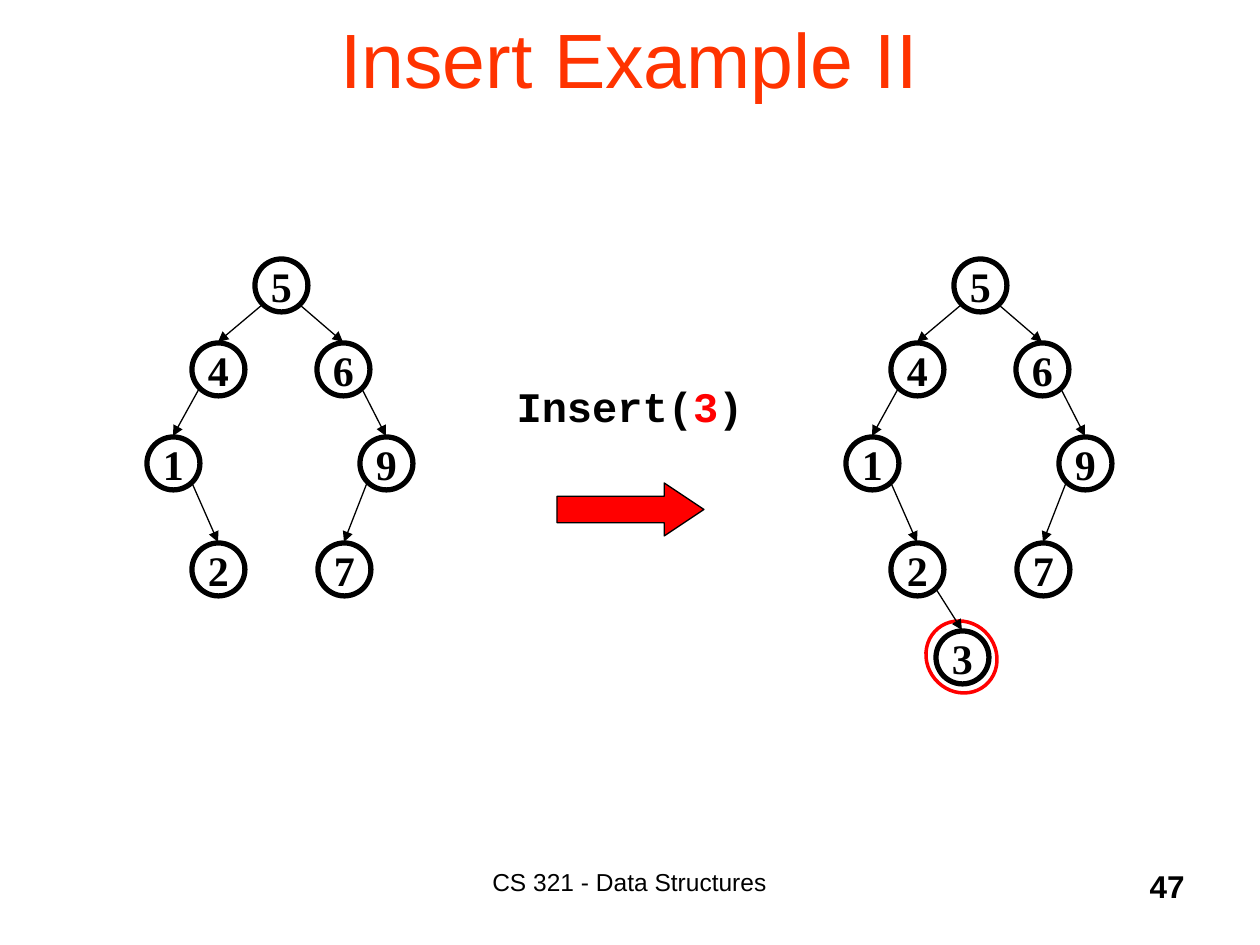
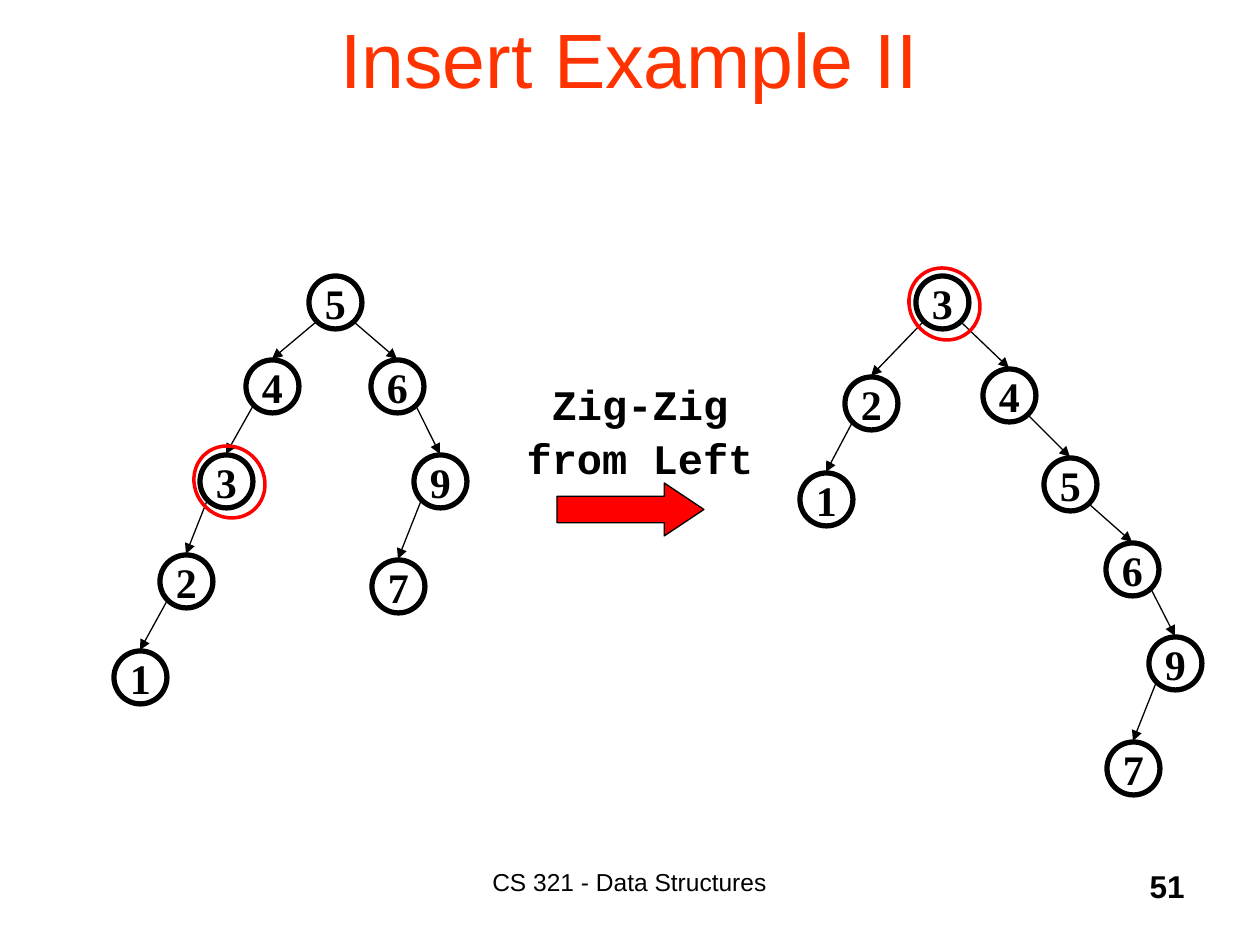
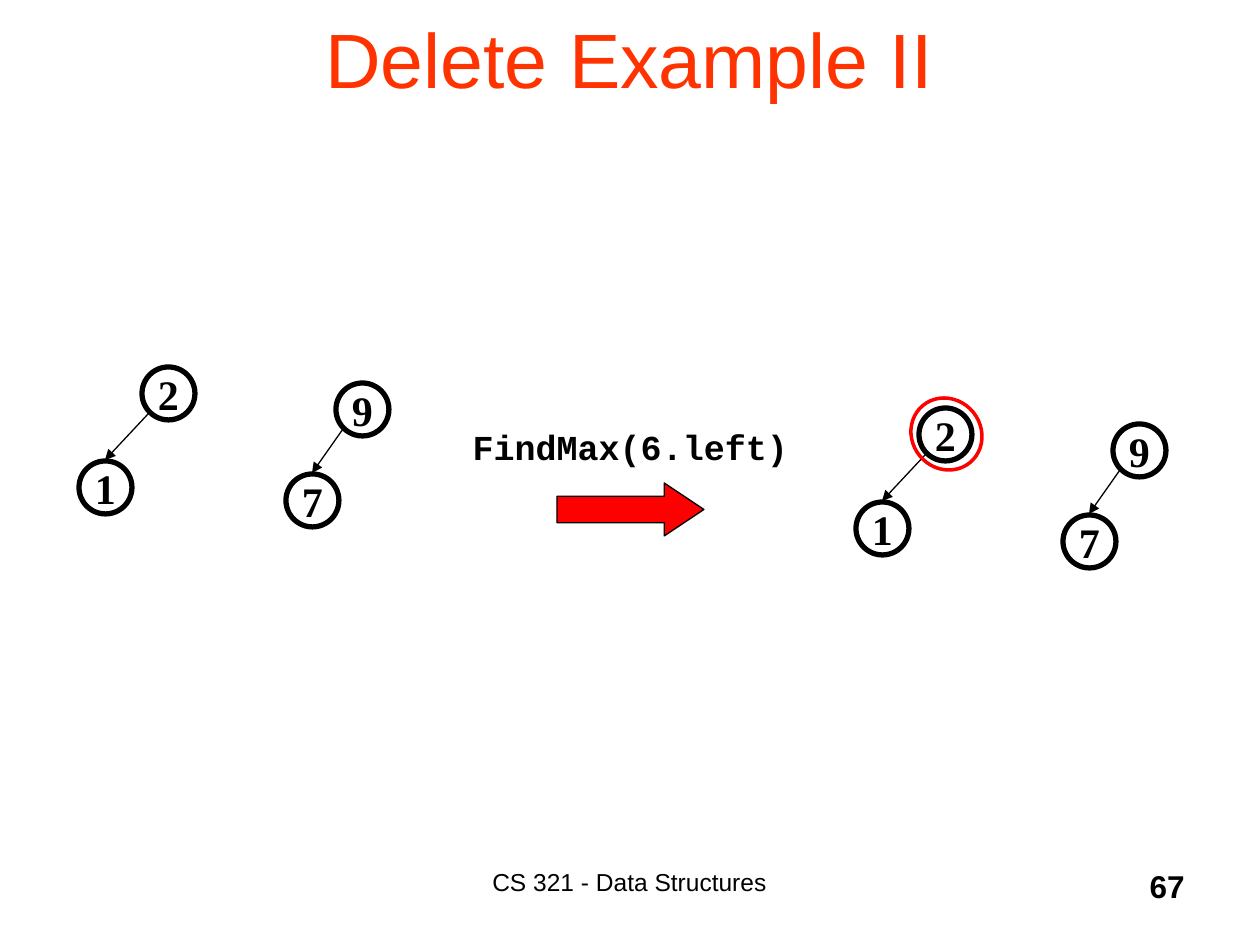
from lxml.etree import SubElement
from pptx import Presentation
from pptx.dml.color import RGBColor
from pptx.enum.shapes import MSO_CONNECTOR, MSO_SHAPE
from pptx.enum.text import MSO_ANCHOR, PP_ALIGN
from pptx.oxml.ns import qn
from pptx.util import Emu, Pt

BLACK, RED, TITLE = "000000", "FF0000", "FF3300"
SANS, MONO, SERIF = "Arial", "Courier New", "Times New Roman"
SIZE = 53
HALF = SIZE // 2


def px(num):
    return Emu(round(num * 914400 / 126))


def hue(code):
    return RGBColor.from_string(code)


def style(run, size, face, code=BLACK, bold=False):
    font = run.font
    font.size, font.name, font.bold = Pt(size), face, bold
    font.color.rgb = hue(code)


def write(frame, text, size, face, code=BLACK, bold=False, align=PP_ALIGN.CENTER):
    frame.text = text
    para = frame.paragraphs[0]
    para.alignment = align
    style(para.runs[0], size, face, code, bold)
    return para


def label(page, box, text, size, face, bold=False, align=PP_ALIGN.CENTER):
    frame = page.shapes.add_textbox(*map(px, box)).text_frame
    frame.word_wrap = True
    return write(frame, text, size, face, BLACK, bold, align)


def code(page, box, text, size=24):
    para = label(page, box, text, size, MONO, True)
    para.line_spacing = 1.08
    para.space_before = Pt(2)
    return para


def shape(shapes, kind, box, edge, width, fill=None):
    item = shapes.add_shape(kind, *map(px, box))
    item.shadow.inherit = False
    if fill:
        item.fill.solid()
        item.fill.fore_color.rgb = hue(fill)
    else:
        item.fill.background()
    item.line.color.rgb = hue(edge)
    item.line.width = Pt(width)
    return item


def node(shapes, key, spot):
    frame = shape(shapes, MSO_SHAPE.OVAL, (*spot, SIZE, SIZE), BLACK, 3).text_frame
    frame.word_wrap = False
    frame.vertical_anchor = MSO_ANCHOR.MIDDLE
    write(frame, key, 24, SERIF, bold=True)


def link(shapes, top, low):
    side = 19 if low[0] > top[0] else -19
    ends = (top[0] + HALF + side, top[1] + HALF + 20, low[0] + HALF, low[1] - 1)
    line = shapes.add_connector(MSO_CONNECTOR.STRAIGHT, *map(px, ends))
    line.line.color.rgb = hue(BLACK)
    line.line.width = Pt(0.75)
    props = line.element.spPr
    SubElement(props.find(qn("a:ln")), qn("a:tailEnd"), type="triangle")
    SubElement(props, qn("a:effectLst"))


def tree(page, nodes, links, shift=(0, 0)):
    shapes = page.shapes.add_group_shape().shapes
    spots = {key: (x + shift[0], y + shift[1]) for key, (x, y) in nodes.items()}
    for top, low in links.split():
        link(shapes, spots[top], spots[low])
    for key, spot in spots.items():
        node(shapes, key, spot)
    return spots


def ring(page, left, top):
    oval = shape(page.shapes, MSO_SHAPE.OVAL, (left, top, 69, 74), RED, 2)
    oval.rotation = 320.5


def start(deck, title, num):
    page = deck.slides.add_slide(deck.slide_layouts[5])
    head = page.shapes.title
    head.left, head.top, head.width, head.height = map(px, (94, -21, 1071, 157))
    head.text_frame.vertical_anchor = MSO_ANCHOR.MIDDLE
    write(head.text_frame, title, 44, SANS, TITLE)
    label(page, (388, 861, 483, 63), "CS 321 - Data Structures", 14, SANS)
    label(page, (935, 861, 262, 63), num, 18, SANS, True, PP_ALIGN.RIGHT)
    arrow = shape(page.shapes, MSO_SHAPE.RIGHT_ARROW, (557, 483, 147, 53), BLACK, 0.75, RED)
    arrow.adjustments[0], arrow.adjustments[1] = 0.5, 0.75
    return page


def insert(deck):
    page = start(deck, "Insert Example II", "47")
    para = code(page, (504, 370, 252, 63), "Insert(")
    for text, tint in (("3", RED), (")", BLACK)):
        run = para.add_run()
        run.text = text
        style(run, 24, MONO, tint, True)
    nodes = {"5": (255, 259), "4": (192, 343), "6": (317, 343), "1": (147, 437),
             "9": (360, 437), "2": (192, 543), "7": (318, 543)}
    links = "54 56 41 69 12 97"
    tree(page, nodes, links)
    ring(page, 927, 620)
    spots = tree(page, nodes, links, (699, 0))
    leaf = (936, 631)
    link(page.shapes, spots["2"], leaf)
    node(page.shapes, "3", leaf)


def rotate(deck):
    page = start(deck, "Insert Example II", "51")
    code(page, (489, 368, 302, 115), "Zig-Zig from Left")
    left = {"5": (309, 276), "4": (246, 360), "6": (371, 360), "3": (200, 455),
            "9": (414, 455), "2": (160, 555), "7": (372, 560), "1": (114, 651)}
    tree(page, left, "54 56 43 69 32 97 21")
    ring(page, 195, 445)
    right = {"3": (916, 276), "4": (983, 369), "2": (845, 377), "5": (1044, 458),
             "1": (800, 473), "6": (1106, 543), "9": (1149, 637), "7": (1107, 742)}
    tree(page, right, "34 32 45 21 56 69 97")
    ring(page, 910, 267)


def delete(deck):
    page = start(deck, "Delete Example II", "67")
    code(page, (460, 416, 341, 55), "FindMax(6.left)", 20)
    nodes = {"2": (142, 367), "1": (79, 461), "9": (336, 383), "7": (286, 474)}
    for shift in ((0, 0), (777, 41)):
        tree(page, nodes, "21 97", shift)
    ring(page, 912, 397)


def main():
    deck = Presentation()
    deck.slide_width, deck.slide_height = px(1260), px(945)
    for build in (insert, rotate, delete):
        build(deck)
    deck.save("out.pptx")


if __name__ == "__main__":
    main()
